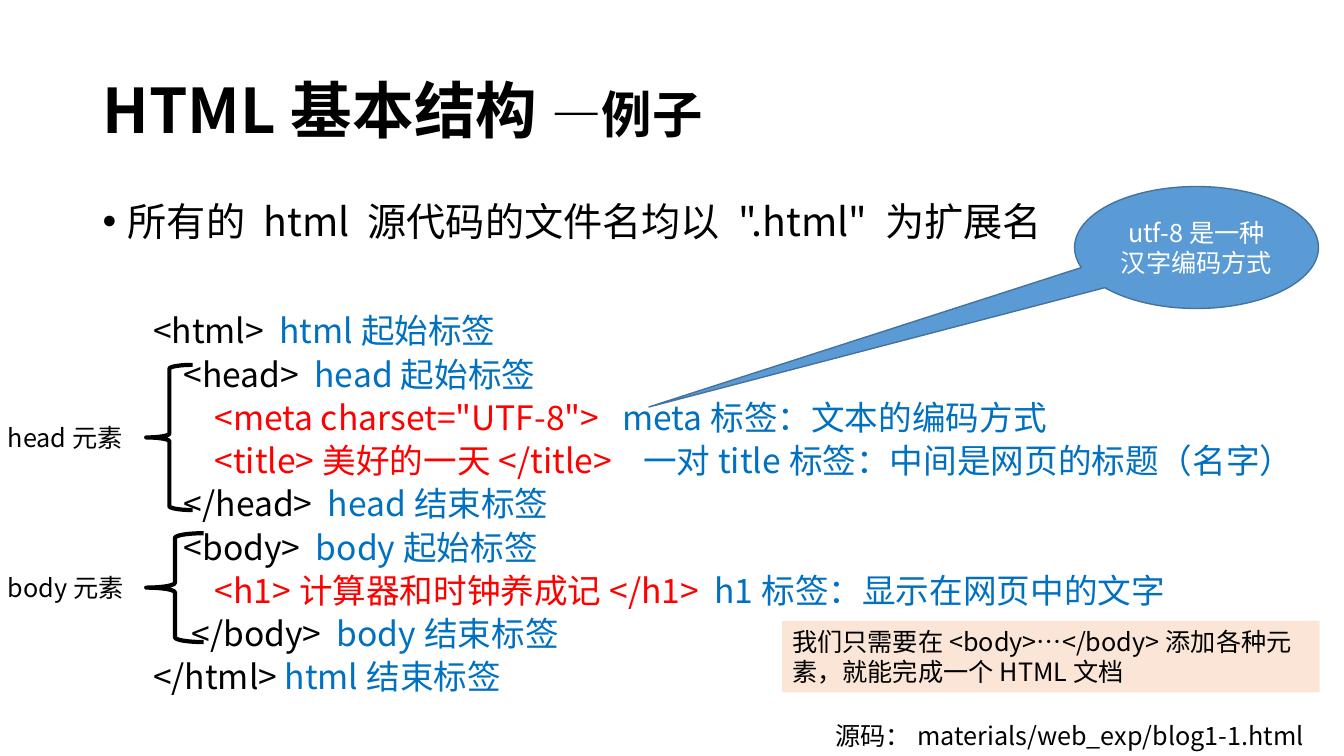
from dataclasses import dataclass

from lxml.etree import SubElement
from pptx import Presentation
from pptx.dml.color import RGBColor
from pptx.enum.shapes import MSO_SHAPE
from pptx.enum.text import MSO_ANCHOR, PP_ALIGN
from pptx.oxml.ns import qn
from pptx.util import Inches, Pt


@dataclass(frozen=True)
class Theme:
    """Font, type sizes in points and colours of the slide."""
    font: str = "Noto Sans CJK SC"
    title: int = 44
    subtitle: int = 36
    bullet: int = 28
    code: int = 24
    label: int = 18
    line_pitch: float = 30.9
    space_width: float = 5.5
    black: str = "000000"
    white: str = "FFFFFF"
    note: str = "0070C0"
    content: str = "FF0000"
    callout: str = "5B9BD5"
    callout_line: str = "43739E"
    tip: str = "FBE5D6"


@dataclass(frozen=True)
class Box:
    """A region in percent of the slide's width and height."""
    x: float
    y: float
    w: float
    h: float

    def emu(self):
        """Return left, top, width and height in EMU."""
        return (int(self.x * WIDTH / 100), int(self.y * HEIGHT / 100),
                int(self.w * WIDTH / 100), int(self.h * HEIGHT / 100))


THEME = Theme()
WIDTH, HEIGHT = Inches(13.33), Inches(7.5)
LABEL_WIDTH, LABEL_HEIGHT, BRACE_OFFSET = 10.13, 5.33, 11.03

# indent in spaces, code, code colour, gap in spaces, note
CODE_LINES = [
    (0, "<html>", THEME.black, 2, "html起始标签"),
    (4, "<head>", THEME.black, 2, "head起始标签"),
    (8, '<meta charset="UTF-8">', THEME.content, 3, "meta标签：文本的编码方式"),
    (8, "<title>美好的一天</title>", THEME.content, 3,
     "一对title标签：中间是网页的标题（名字）"),
    (4, "</head>", THEME.black, 2, "head结束标签"),
    (4, "<body>", THEME.black, 2, "body起始标签"),
    (8, "<h1>计算器和时钟养成记</h1>", THEME.content, 2, "h1标签：显示在网页中的文字"),
    (5, "</body>", THEME.black, 2, "body结束标签"),
    (0, "</html>", THEME.black, 1, "html结束标签"),
]


def add_run(p, text, size, color=THEME.black, bold=False):
    """Append a formatted run to a paragraph."""
    r = p.add_run()
    r.text = text
    r.font.size = Pt(size)
    r.font.bold = bold
    r.font.color.rgb = RGBColor.from_string(color)
    r.font.name = THEME.font
    SubElement(r.font._element, qn("a:ea"), typeface=THEME.font)
    return r


def add_text(s, box, anchor=MSO_ANCHOR.TOP, wrap=True):
    """Add an empty text box and return its text frame."""
    tf = s.shapes.add_textbox(*box.emu()).text_frame
    tf.word_wrap = wrap
    tf.vertical_anchor = anchor
    return tf


def add_shape(s, kind, box, fill=None, line=None, line_width=1):
    """Add a flat preset shape with the given fill and outline."""
    sp = s.shapes.add_shape(kind, *box.emu())
    sp.shadow.inherit = False
    if fill:
        sp.fill.solid()
        sp.fill.fore_color.rgb = RGBColor.from_string(fill)
    else:
        sp.fill.background()
    if line:
        sp.line.color.rgb = RGBColor.from_string(line)
        sp.line.width = Pt(line_width)
    else:
        sp.line.fill.background()
    sp.text_frame.word_wrap = True
    return sp


def add_title(s, box, text, subtitle):
    """Place the heading with its smaller second part."""
    p = add_text(s, box, MSO_ANCHOR.MIDDLE).paragraphs[0]
    p.line_spacing = 0.9
    add_run(p, text, THEME.title, bold=True)
    add_run(p, subtitle, THEME.subtitle, bold=True)


def add_bullet(s, box, text):
    """Place one bulleted statement."""
    p = add_text(s, box).paragraphs[0]
    p.line_spacing = 0.8
    pPr = p._p.get_or_add_pPr()
    pPr.set("marL", str(Inches(0.25)))
    pPr.set("indent", str(-Inches(0.25)))
    SubElement(pPr, qn("a:buFont"), typeface="Arial")
    SubElement(pPr, qn("a:buChar"), char="•")
    add_run(p, text, THEME.bullet)


def add_code(s, box):
    """Place the indented code lines, each followed by its note."""
    tf = add_text(s, box)
    for i, (indent, code, color, gap, note) in enumerate(CODE_LINES):
        p = tf.add_paragraph() if i else tf.paragraphs[0]
        p.line_spacing = Pt(THEME.line_pitch)
        margin = Inches(0.5) + Pt(indent * THEME.space_width)
        p._p.get_or_add_pPr().set("marL", str(margin))
        add_run(p, code, THEME.code, color)
        space = add_run(p, " ", THEME.code, color)
        space.font._element.set("spc", str(int((gap - 1) * THEME.space_width * 100)))
        add_run(p, note, THEME.code, THEME.note)


def add_element_group(s, box, label):
    """Place a label and, at its right, the brace around its lines."""
    brace = Box(box.x + BRACE_OFFSET, box.y, box.w - BRACE_OFFSET, box.h)
    add_shape(s, MSO_SHAPE.LEFT_BRACE, brace, line=THEME.black, line_width=3)
    top = box.y + (box.h - LABEL_HEIGHT) / 2
    tf = add_text(s, Box(box.x, top, LABEL_WIDTH, LABEL_HEIGHT))
    add_run(tf.paragraphs[0], label, THEME.label)


def add_source(s, box, text):
    """Place the source line."""
    add_run(add_text(s, box, wrap=False).paragraphs[0], text, THEME.label)


def add_callout(s, box, text):
    """Place the oval callout pointing at the meta line."""
    sp = add_shape(s, MSO_SHAPE.OVAL_CALLOUT, box, THEME.callout, THEME.callout_line)
    sp.adjustments[0], sp.adjustments[1] = -2.245, 1.308
    sp.text_frame.vertical_anchor = MSO_ANCHOR.MIDDLE
    p = sp.text_frame.paragraphs[0]
    p.alignment = PP_ALIGN.CENTER
    add_run(p, text, THEME.label, THEME.white)


def add_tip(s, box, text):
    """Place the shaded tip."""
    tf = add_shape(s, MSO_SHAPE.RECTANGLE, box, THEME.tip).text_frame
    tf.vertical_anchor = MSO_ANCHOR.TOP
    p = tf.paragraphs[0]
    p.alignment = PP_ALIGN.LEFT
    add_run(p, text, THEME.label)


def main():
    """Build the slide and save it."""
    prs = Presentation()
    prs.slide_width, prs.slide_height = WIDTH, HEIGHT
    s = prs.slides.add_slide(prs.slide_layouts[6])
    add_title(s, Box(6.9, 5.33, 86.25, 19.33), "HTML基本结构 ", "—例子")
    add_bullet(s, Box(6.9, 26.67, 80, 8), '所有的 html 源代码的文件名均以 ".html" 为扩展名')
    add_code(s, Box(6.9, 40, 93.1, 53.33))
    add_element_group(s, Box(-0.15, 48.27, 14.48, 19.2), "head元素")
    add_element_group(s, Box(-0.15, 70.53, 15.3, 14.4), "body元素")
    add_source(s, Box(61.43, 94.67, 36.75, 5.33), "源码：materials/web_exp/blog1-1.html")
    add_callout(s, Box(79.95, 24.67, 18.15, 16.13), "utf-8是一种汉字编码方式")
    add_tip(s, Box(58.2, 82.13, 39.98, 9.47),
            "我们只需要在<body>…</body>添加各种元素，就能完成一个HTML文档")
    prs.save("out.pptx")


if __name__ == "__main__":
    main()
